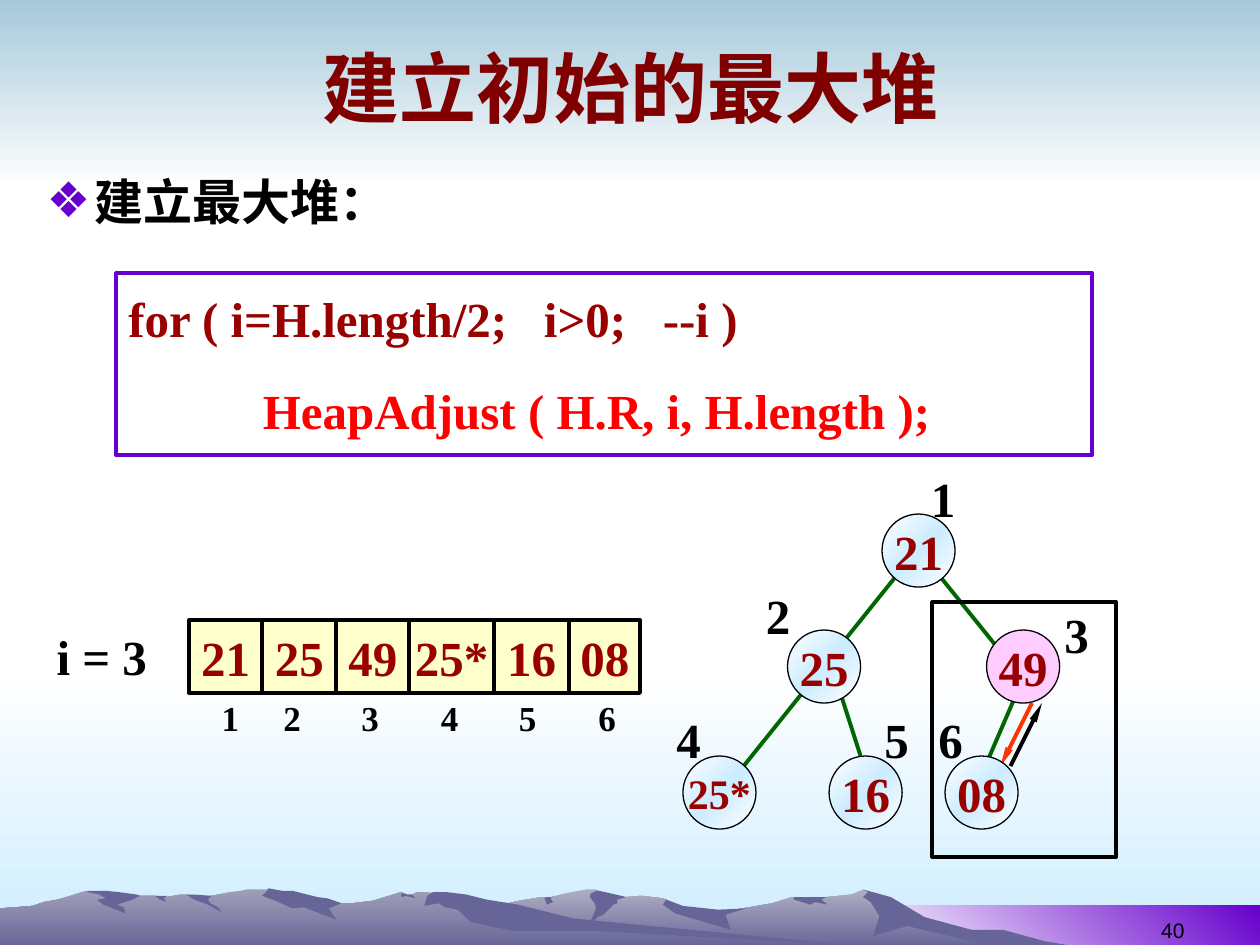
"""Build the slide on making the initial max heap."""
from lxml.etree import SubElement
from pptx import Presentation
from pptx.dml.color import RGBColor
from pptx.enum.shapes import MSO_CONNECTOR, MSO_SHAPE
from pptx.enum.text import MSO_ANCHOR, MSO_AUTO_SIZE, PP_ALIGN
from pptx.oxml.ns import qn
from pptx.util import Inches, Pt

COLORS = {
    "black": "000000", "white": "FFFFFF", "sky": "A6C9DA", "ice": "CCECFF",
    "purple": "6600CC", "maroon": "800000", "dark_red": "990000", "red": "FF0000",
    "orange": "FF3300", "green": "006600", "pink": "FFCCFF", "cream": "FFFFCC",
    "shade": "676597", "back_ridge": "AEAEC2", "front_ridge": "9F9EB8",
}
SERIF = "Times New Roman"
TITLE = "建立初始的最大堆"
HEADING = "建立最大堆："
CODE = [
    [("for ( i=H.length/2;   i>0;   --i )", "dark_red")],
    [("           ", "dark_red"), ("HeapAdjust ( H.R, i, H.length );", "red")],
]
PAGE_NUMBER = "40"
STEP = "i = 3"
BANDS = [
    ((0, 533, 1000, 750), ("white", "ice"), 90),
    ((0, 0, 1000, 150), ("sky", "white"), 90),
    ((683, 719, 1000, 752), ("white", "purple"), 315),
]
BACK_RIDGE = [
    (802, 746), (778, 740), (764, 738), (723, 725), (702, 712), (685, 706), (676, 710), (656, 712), (629, 712),
    (613, 717), (566, 725), (536, 721), (529, 714), (526, 713), (509, 711), (497, 712), (486, 713), (474, 707),
    (471, 706), (465, 706), (450, 709), (438, 712), (430, 712), (412, 715), (399, 718), (394, 719), (355, 725),
    (327, 731), (277, 745), (258, 752), (821, 752),
]
BACK_SHADES = [
    [(796, 738), (771, 738), (734, 728), (707, 712), (685, 706), (689, 708), (685, 712), (691, 716),
     (698, 727), (693, 743), (720, 735), (792, 752), (858, 752), (829, 747)],
    [(471, 706), (474, 707), (469, 709), (468, 712), (472, 717), (473, 721), (465, 740), (474, 728),
     (479, 726), (487, 718), (490, 717), (490, 714), (497, 712), (493, 711)],
    [(529, 714), (526, 718), (536, 725), (580, 738), (576, 726), (592, 721), (570, 722), (542, 719)],
    [(650, 712), (630, 712), (630, 714), (643, 718), (647, 716), (657, 718), (652, 714), (656, 712)],
    [(433, 715), (432, 713), (434, 712), (438, 712), (439, 711), (437, 713), (439, 716), (434, 718)],
]
FRONT_RIDGE = [
    (690, 752), (667, 750), (432, 732), (354, 709), (331, 708), (327, 710), (323, 710), (318, 708), (296, 715),
    (279, 717), (271, 717), (260, 715), (236, 717), (223, 708), (219, 707), (215, 706), (196, 706), (191, 707),
    (183, 708), (178, 709), (168, 711), (160, 712), (148, 710), (143, 710), (132, 712), (123, 711), (111, 711),
    (94, 712), (68, 707), (56, 711), (46, 714), (35, 716), (26, 719), (14, 720), (0, 721), (0, 752),
]
FRONT_SHADES = [
    [(212, 707), (208, 711), (219, 715), (232, 721), (241, 720), (267, 730), (261, 721), (271, 717),
     (266, 715), (260, 713), (252, 712), (232, 707), (224, 707), (213, 705)],
    [(370, 710), (354, 708), (344, 708), (339, 711), (337, 719), (348, 717), (353, 720), (363, 722), (374, 732),
     (407, 739), (472, 739), (690, 751), (683, 751), (455, 729), (411, 718), (386, 714)],
    [(318, 710), (320, 709), (318, 708), (323, 710), (327, 710), (330, 713), (322, 711), (319, 712)],
    [(154, 710), (168, 711), (165, 714), (167, 717), (173, 720), (176, 724), (165, 718), (154, 714), (148, 710)],
    [(133, 711), (130, 713), (132, 716), (127, 714), (123, 711)],
    [(109, 710), (111, 711), (105, 714), (93, 718), (98, 720), (100, 725), (82, 718), (77, 714),
     (84, 713), (79, 710), (69, 708), (70, 707), (84, 707), (94, 708)],
]
NODE_SIZE = 0.58
NODES = [
    ("21", 7, 4.08), ("25", 6.25, 5), ("49", 7.83, 5), ("25*", 5.42, 6), ("16", 6.58, 6), ("08", 7.5, 6),
]
NODE_LABELS = [(7.29, 3.67), (5.98, 4.6), (8.35, 4.75), (5.27, 5.58), (6.92, 5.58), (7.35, 5.58)]
SWAP_ARROWS = [((8.02, 6.08), (8.27, 5.58), "black"), ((8.19, 5.58), (7.94, 6.08), "orange")]
EDGES = [
    ((8.07, 5.5), (7.82, 6.08)), ((7.4, 4.5), (8.07, 5.33)),
    ((6.67, 5.5), (6.83, 6)), ((7.17, 4.5), (5.83, 6.17)),
]
ARRAY = ["21", "25", "49", "25*", "16", "08"]
ARRAY_EDGES = [1.5, 2.08, 2.67, 3.25, 3.92, 4.52, 5.08]
ARRAY_TOP = 4.92
INDEX_STOPS = [0.27, 0.76, 1.38, 2.01, 2.63, 3.26]

def rgb(name):
    return RGBColor.from_string(COLORS[name])

def paint(shape, fill=None, angle=0, line=None, weight=2.25):
    shape.shadow.inherit = False
    if fill is None:
        shape.fill.background()
    elif isinstance(fill, str):
        shape.fill.solid()
        shape.fill.fore_color.rgb = rgb(fill)
    else:
        shape.fill.gradient()
        shape.fill.gradient_angle = 360 - angle
        stops = shape._element.spPr.find(qn("a:gradFill")).find(qn("a:gsLst"))
        for stop in list(stops):
            stops.remove(stop)
        for index, name in enumerate(fill):
            stop = SubElement(stops, qn("a:gs"), pos=str(100000 * index // (len(fill) - 1)))
            SubElement(stop, qn("a:srgbClr"), val=COLORS[name])
    if line:
        shape.line.color.rgb = rgb(line)
        shape.line.width = Pt(weight)
    else:
        shape.line.fill.background()

def add_run(paragraph, text, size=28, color="black", font=SERIF, bold=True):
    run = paragraph.add_run()
    run.text = text
    run.font.size, run.font.name, run.font.bold = Pt(size), font, bold
    run.font.color.rgb = rgb(color)

def add_polygon(shapes, points, fill, angle=0):
    builder = shapes.build_freeform(*points[0], scale=Inches(0.01))
    builder.add_line_segments(points[1:], close=True)
    paint(builder.convert_to_shape(), fill, angle)

def add_box(shapes, kind, left, top, width, height, **style):
    shape = shapes.add_shape(kind, *map(Inches, (left, top, width, height)))
    paint(shape, **style)
    return shape

def add_centred(shape, text, size=28):
    frame = shape.text_frame
    frame.word_wrap = False
    frame.vertical_anchor = MSO_ANCHOR.MIDDLE
    frame.paragraphs[0].alignment = PP_ALIGN.CENTER
    add_run(frame.paragraphs[0], text, size, "dark_red")

def add_text(shapes, text, left, top, width, height, wrap=False, **style):
    frame = shapes.add_textbox(*map(Inches, (left, top, width, height))).text_frame
    frame.word_wrap = wrap
    add_run(frame.paragraphs[0], text, **style)
    return frame

def add_line(shapes, start, end, color, arrow=False):
    line = shapes.add_connector(MSO_CONNECTOR.STRAIGHT, *map(Inches, start + end))
    line.line.color.rgb = rgb(color)
    line.line.width = Pt(2.25)
    properties = line._element.spPr
    if arrow:
        SubElement(properties.find(qn("a:ln")), qn("a:tailEnd"), type="triangle", w="sm", len="lg")
    SubElement(properties, qn("a:effectLst"))

def place(shapes, holder, *box):
    holder.left, holder.top, holder.width, holder.height = map(Inches, box)
    holder.text_frame.auto_size = MSO_AUTO_SIZE.NONE
    shapes._spTree.append(holder._element)
    return holder.text_frame.paragraphs[0]

def add_landscape(shapes):
    for (left, top, right, bottom), fill, angle in BANDS:
        add_polygon(shapes, [(right, bottom), (left, bottom), (left, top), (right, top)], fill, angle)
    ridges = [(BACK_RIDGE, "back_ridge", BACK_SHADES), (FRONT_RIDGE, "front_ridge", FRONT_SHADES)]
    for ridge, name, shades in ridges:
        add_polygon(shapes, ridge, (name, "shade"), 90)
        for points in shades:
            add_polygon(shapes, points, "shade")

def add_headings(slide):
    title = place(slide.shapes, slide.shapes.title, 0.51, 0.13, 9, 1.12)
    title.alignment = PP_ALIGN.CENTER
    add_run(title, TITLE, 44, "maroon")
    heading = place(slide.shapes, slide.placeholders[1], 0.27, 1.31, 9.45, 5.67)
    heading.space_before = Pt(0)
    properties = heading._p.get_or_add_pPr()
    properties.set("marL", str(Inches(0.38)))
    properties.set("indent", str(-Inches(0.38)))
    SubElement(SubElement(properties, qn("a:buClr")), qn("a:srgbClr"), val=COLORS["purple"])
    SubElement(properties, qn("a:buChar"), char="❖")
    add_run(heading, HEADING)

def add_code(shapes):
    frame = add_box(shapes, MSO_SHAPE.RECTANGLE, 0.92, 2.17, 7.75, 1.44, line="purple").text_frame
    frame.vertical_anchor = MSO_ANCHOR.TOP
    for index, runs in enumerate(CODE):
        paragraph = frame.add_paragraph() if index else frame.paragraphs[0]
        paragraph.alignment = PP_ALIGN.LEFT
        paragraph.line_spacing = 1.15
        paragraph.space_before = Pt(14 if index else 0)
        for text, color in runs:
            add_run(paragraph, text, color=color)

def add_tree(shapes):
    for start, end, color in SWAP_ARROWS:
        add_line(shapes, start, end, color, arrow=True)
    for start, end in EDGES:
        add_line(shapes, start, end, "green")
    for text, left, top in NODES:
        fill = "pink" if text == "49" else ("white", "ice", "white")
        node = add_box(shapes, MSO_SHAPE.OVAL, left, top, NODE_SIZE, NODE_SIZE,
                       fill=fill, angle=45, line="black", weight=0.75)
        add_centred(node, text, 24 if len(text) > 2 else 28)
    for number, (left, top) in enumerate(NODE_LABELS, 1):
        add_text(shapes, str(number), left, top, 0.4, 0.57)
    add_box(shapes, MSO_SHAPE.RECTANGLE, 7.4, 4.78, 1.46, 2.02, line="black")

def add_array(shapes):
    add_text(shapes, STEP, 0.35, ARRAY_TOP, 0.92, 0.57)
    for text, left, right in zip(ARRAY, ARRAY_EDGES, ARRAY_EDGES[1:]):
        add_centred(add_box(shapes, MSO_SHAPE.RECTANGLE, left, ARRAY_TOP, right - left, 0.58,
                            fill="cream", line="black"), text)
    indexes = "".join(f"\t{number}" for number in range(1, len(ARRAY) + 1))
    frame = add_text(shapes, indexes, 1.46, 5.48, 3.58, 0.44, wrap=True, size=20)
    tabs = SubElement(frame.paragraphs[0]._p.get_or_add_pPr(), qn("a:tabLst"))
    for stop in INDEX_STOPS:
        SubElement(tabs, qn("a:tab"), pos=str(Inches(stop)), algn="ctr")

presentation = Presentation()
presentation.slide_width, presentation.slide_height = Inches(10), Inches(7.5)
slide = presentation.slides.add_slide(presentation.slide_layouts[1])
add_landscape(slide.shapes)
add_headings(slide)
add_code(slide.shapes)
add_tree(slide.shapes)
add_array(slide.shapes)
page = add_text(slide.shapes, PAGE_NUMBER, 7.17, 7.03, 2.33, 0.5, True, size=12, font="Arial", bold=False)
page.vertical_anchor = MSO_ANCHOR.BOTTOM
page.paragraphs[0].alignment = PP_ALIGN.RIGHT
presentation.save("out.pptx")
